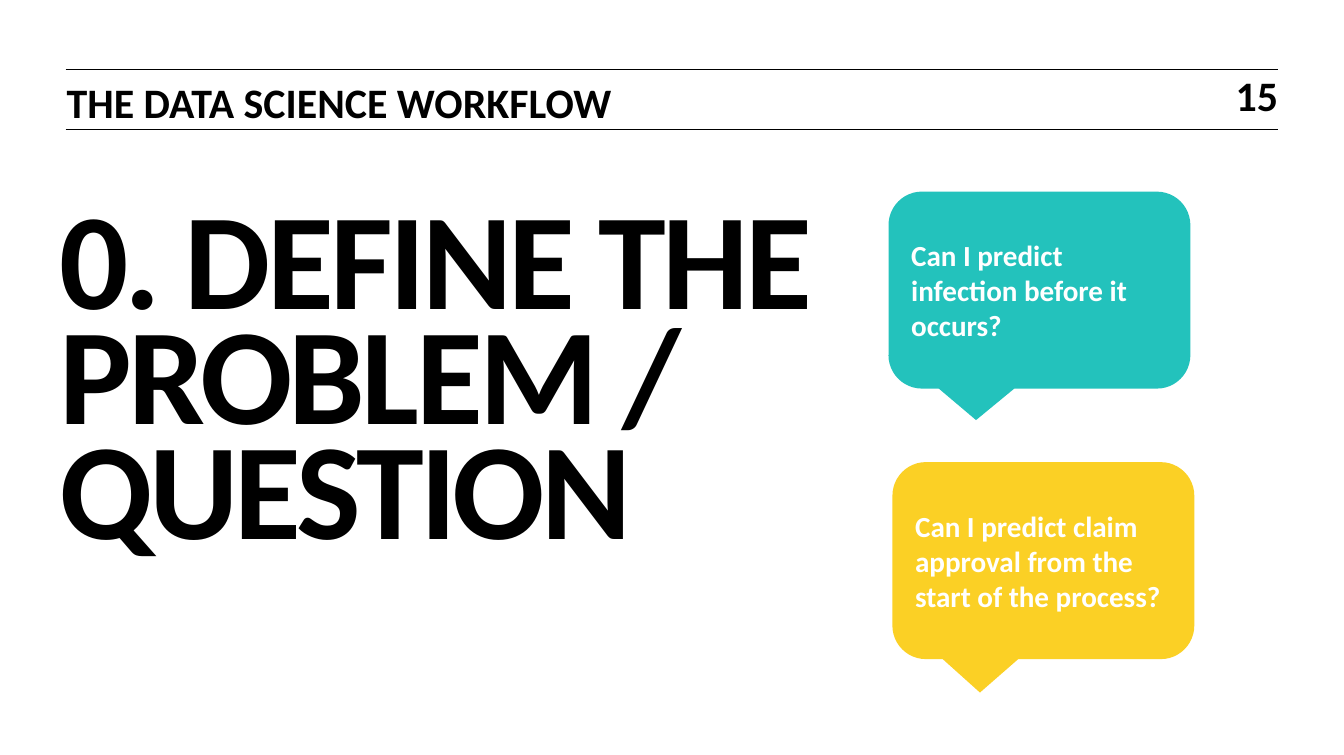
from lxml import etree
from pptx import Presentation
from pptx.dml.color import RGBColor
from pptx.enum.shapes import MSO_CONNECTOR, MSO_SHAPE
from pptx.enum.text import MSO_ANCHOR, MSO_AUTO_SIZE, PP_ALIGN
from pptx.oxml.ns import qn
from pptx.util import Pt

STRAIGHT = MSO_CONNECTOR.STRAIGHT
CALLOUT = MSO_SHAPE.ROUNDED_RECTANGULAR_CALLOUT
TOP, MIDDLE = MSO_ANCHOR.TOP, MSO_ANCHOR.MIDDLE
LEFT, RIGHT = PP_ALIGN.LEFT, PP_ALIGN.RIGHT
NO_AUTOFIT = MSO_AUTO_SIZE.NONE

PX = 9144  # 100 px to the inch
THEME = {
    "font": "Calibri",
    "ink": RGBColor.from_string("000000"),
    "white": RGBColor.from_string("FFFFFF"),
    "teal": RGBColor.from_string("23C2BC"),
    "yellow": RGBColor.from_string("FBD025"),
    "title": Pt(75),
    "header": Pt(23),
    "callout": Pt(16),
    "rule": Pt(0.5),
}


def px(*lengths):
    """Turn px lengths into EMU."""
    return [length * PX for length in lengths]


def write_text(shape, text, size, color, frame_format, paragraph_format):
    frame = shape.text_frame
    for name, value in {"auto_size": NO_AUTOFIT, "word_wrap": True, **frame_format}.items():
        setattr(frame, name, value)
    frame.text = text
    paragraph = frame.paragraphs[0]
    for name, value in paragraph_format.items():
        setattr(paragraph, name, value)
    run_format = {"name": THEME["font"], "size": THEME[size], "bold": True}
    for run in paragraph.runs:
        for name, value in run_format.items():
            setattr(run.font, name, value)
        run.font.color.rgb = THEME[color]
    return paragraph


presentation = Presentation()
presentation.slide_width, presentation.slide_height = px(1024, 575)
slide = presentation.slides.add_slide(presentation.slide_layouts.get_by_name("Title Only"))

# Header rules
for y in (53, 99):
    rule = slide.shapes.add_connector(STRAIGHT, *px(50, y, 974, y))
    rule.line.color.rgb = THEME["ink"]
    rule.line.width = THEME["rule"]
    etree.SubElement(rule._element.spPr, qn("a:effectLst"))

# Title
title = slide.shapes.title
title.left, title.top, title.width, title.height = px(38, 162, 922, 392)
margins = dict(zip(("margin_left", "margin_top", "margin_right", "margin_bottom"), px(7, 4, 7, 4)))
title_paragraph = write_text(
    title, "0. DEFINE THE\vPROBLEM /\vQUESTION", "title", "ink",
    {"vertical_anchor": TOP, **margins}, {"alignment": LEFT, "line_spacing": 0.7})
for run in title_paragraph.runs:
    run.font._element.set("spc", "-200")

# Page number and section header
page_number = slide.shapes.add_textbox(*px(946, 58, 28, 34))
write_text(page_number, "15", "header", "ink",
           {**margins, "margin_right": 0, "vertical_anchor": MIDDLE, "word_wrap": False},
           {"alignment": RIGHT, "line_spacing": Pt(23)})
section = slide.shapes.add_textbox(*px(41, 58, 700, 33))
write_text(section, "THE DATA SCIENCE WORKFLOW", "header", "ink",
           {"vertical_anchor": TOP}, {"alignment": LEFT, "line_spacing": Pt(24.5)})

# Example questions
questions = [
    (677, 146, "teal", 0.66, "Can I predict infection before it occurs?"),
    (680, 352, "yellow", 0.67, "Can I predict claim approval from the start of the process?"),
]
for left, top, color, tip, question in questions:
    callout = slide.shapes.add_shape(CALLOUT, *px(left, top, 230, 150))
    callout.shadow.inherit = False
    callout.fill.solid()
    callout.fill.fore_color.rgb = THEME[color]
    callout.line.fill.background()
    for index, value in enumerate((-0.21, tip, 0.17)):
        callout.adjustments[index] = value
    write_text(callout, question, "callout", "white",
               {"vertical_anchor": MIDDLE}, {"alignment": LEFT})

presentation.save("out.pptx")
